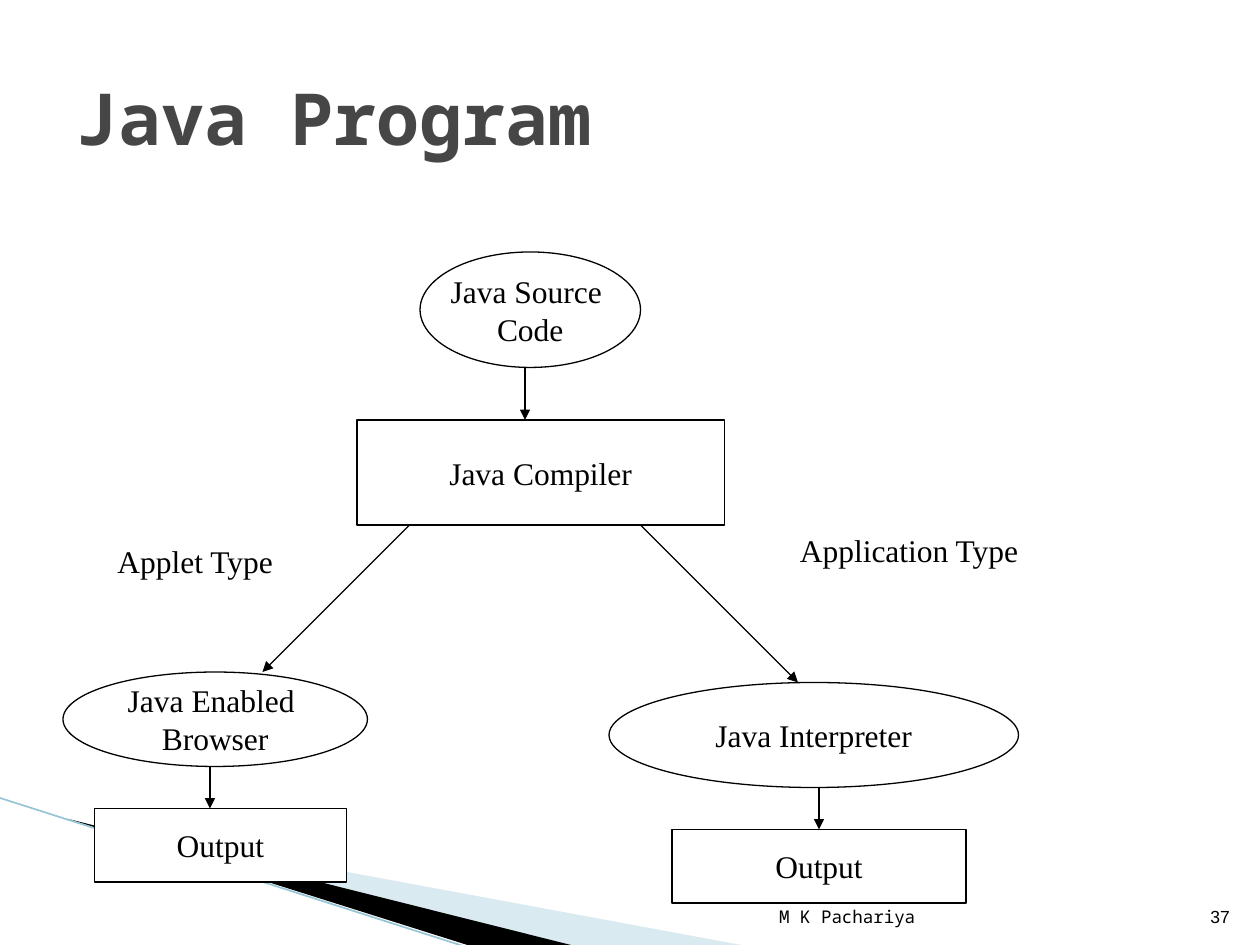
import pptx
import pptx.util
import pptx.dml.color
import pptx.enum.shapes
import pptx.enum.text
import pptx.oxml.ns
import lxml.etree

RGB = pptx.dml.color.RGBColor
BLACK = RGB(0, 0, 0)
WHITE = RGB(255, 255, 255)
GREY = RGB(0x46, 0x46, 0x46)
PALE = RGB(0xA0, 0xCB, 0xDC)
TEAL = RGB(0x97, 0xC5, 0xD8)
SERIF, MONO, SANS = "Times New Roman", "Noto Sans Mono", "Arial"
KIND = pptx.enum.shapes.MSO_SHAPE
ALIGN = pptx.enum.text.PP_ALIGN
ANCHOR = pptx.enum.text.MSO_ANCHOR
CELL = pptx.util.Inches(1) // 12


def grid(*nums):
    return [round(num * CELL) for num in nums]


def add_tag(node, name, **attrs):
    return lxml.etree.SubElement(node, pptx.oxml.ns.qn(name), attrs)


def write(shape, text, size, font, color, align, anchor, wrap=True, bold=False):
    frame = shape.text_frame
    frame.text = text
    frame.word_wrap = wrap
    frame.vertical_anchor = anchor
    for para in frame.paragraphs:
        para.alignment = align
        for run in para.runs:
            run.font.size = pptx.util.Pt(size)
            run.font.name = font
            run.font.bold = bold
            run.font.color.rgb = color


def add_text(slide, box, text, size, font, color=BLACK, align=ALIGN.LEFT,
             anchor=ANCHOR.TOP, bold=False):
    shape = slide.shapes.add_textbox(*grid(*box))
    write(shape, text, size, font, color, align, anchor, bold=bold)


def add_node(slide, kind, box, text):
    node = slide.shapes.add_shape(kind, *grid(*box))
    node.shadow.inherit = False
    node.fill.solid()
    node.fill.fore_color.rgb = WHITE
    node.line.color.rgb = BLACK
    node.line.width = pptx.util.Pt(0.75)
    write(node, text, 18, SERIF, BLACK, ALIGN.CENTER, ANCHOR.MIDDLE, wrap=False)
    return node


def add_line(slide, ends, color=BLACK, width=0.75, head=True):
    line = slide.shapes.add_connector(
        pptx.enum.shapes.MSO_CONNECTOR.STRAIGHT, *grid(*ends))
    line.line.color.rgb = color
    line.line.width = pptx.util.Pt(width)
    if head:
        add_tag(line.line._get_or_add_ln(), "a:tailEnd", type="triangle")
    add_tag(line._element.spPr, "a:effectLst")
    return line


def add_wedge(slide, points, color, alpha=None):
    spots = [grid(*point) for point in points]
    form = slide.shapes.build_freeform(*spots[0])
    form.add_line_segments(spots[1:], close=True)
    wedge = form.convert_to_shape()
    wedge.shadow.inherit = False
    wedge.fill.solid()
    wedge.fill.fore_color.rgb = color
    wedge.line.fill.background()
    if alpha:
        tint = wedge._element.spPr.find(".//" + pptx.oxml.ns.qn("a:srgbClr"))
        add_tag(tint, "a:alpha", val=str(alpha * 1000))


def draw_swoosh(slide, box):
    x, y, w, h = box

    def place(*points):
        return [(x + w * across, y + h * down) for across, down in points]

    add_wedge(slide, place((0.09, 0.15), (1, 1), (0.77, 1), (0.09, 0.14)), PALE, 40)
    add_wedge(slide, place((0.09, 0.14), (0.77, 1), (0.63, 1), (0.09, 0.14)), BLACK)
    start, end = place((0, 0), (0.62, 1))
    add_line(slide, start + end, TEAL, 0.95, False)


def draw_foot(slide, box):
    x, y, w, h = box
    for left, wide, text, font in ((0, 30.84, "M K Pachariya", MONO),
                                   (w - 4.8, 4.8, "37", SANS)):
        add_text(slide, (x + left, y, wide, h), text, 10, font,
                 align=ALIGN.RIGHT, anchor=ANCHOR.BOTTOM)


def draw_top(slide, box):
    x, y, w, h = box
    add_node(slide, KIND.OVAL, (x + 6, y, 21, 11), "Java Source \nCode")
    add_line(slide, (x + 16, y + 11, x + 16, y + 16))
    add_node(slide, KIND.RECTANGLE, (x, y + 16, w, h - 16), "Java Compiler")


def draw_branch(slide, box, text, rise, inset, stem):
    x, y, w, h = box
    add_node(slide, KIND.OVAL, (x, y, w, rise), text)
    base = y + h - 7
    out = add_node(slide, KIND.RECTANGLE,
                   (x + inset, base, w - 2 * inset + (w < 30 and 0 or 1), 7), "Output")
    line = add_line(slide, (x + stem, y + rise, x + stem, base))
    if out.left + out.width // 2 == line.end_x:
        line.end_connect(out, 0)


def draw_flow(slide, box):
    x, y, w, h = box
    draw_top(slide, (x + 28, y, 35, 26))
    draw_branch(slide, (x, y + 40, 29, h - 42), "Java Enabled \nBrowser", 9, 3, 14)
    draw_branch(slide, (x + 52, y + 41, 39, h - 41), "Java Interpreter", 10, 6, 20)
    add_line(slide, (x + 33, y + 26, x + 19, y + 40))
    add_line(slide, (x + 55, y + 26, x + 70, y + 41))
    add_text(slide, (x + 69, y + 26, 31, 4.8), "Application Type", 18, SERIF)
    add_text(slide, (x + 4, y + 27, 19, 4.8), "Applet Type", 18, SERIF)


def main():
    deck = pptx.Presentation()
    deck.slide_width, deck.slide_height = grid(120, 90)
    slide = deck.slides.add_slide(deck.slide_layouts[6])
    draw_swoosh(slide, (0, 76, 71.4, 14.15))
    draw_foot(slide, (57.5, 84.1, 60.8, 4.8))
    add_text(slide, (6, 3.6, 108, 15), "Java Program", 41, MONO, GREY,
             anchor=ANCHOR.MIDDLE, bold=True)
    draw_flow(slide, (6, 24, 91, 62))
    deck.save("out.pptx")


if __name__ == "__main__":
    main()
